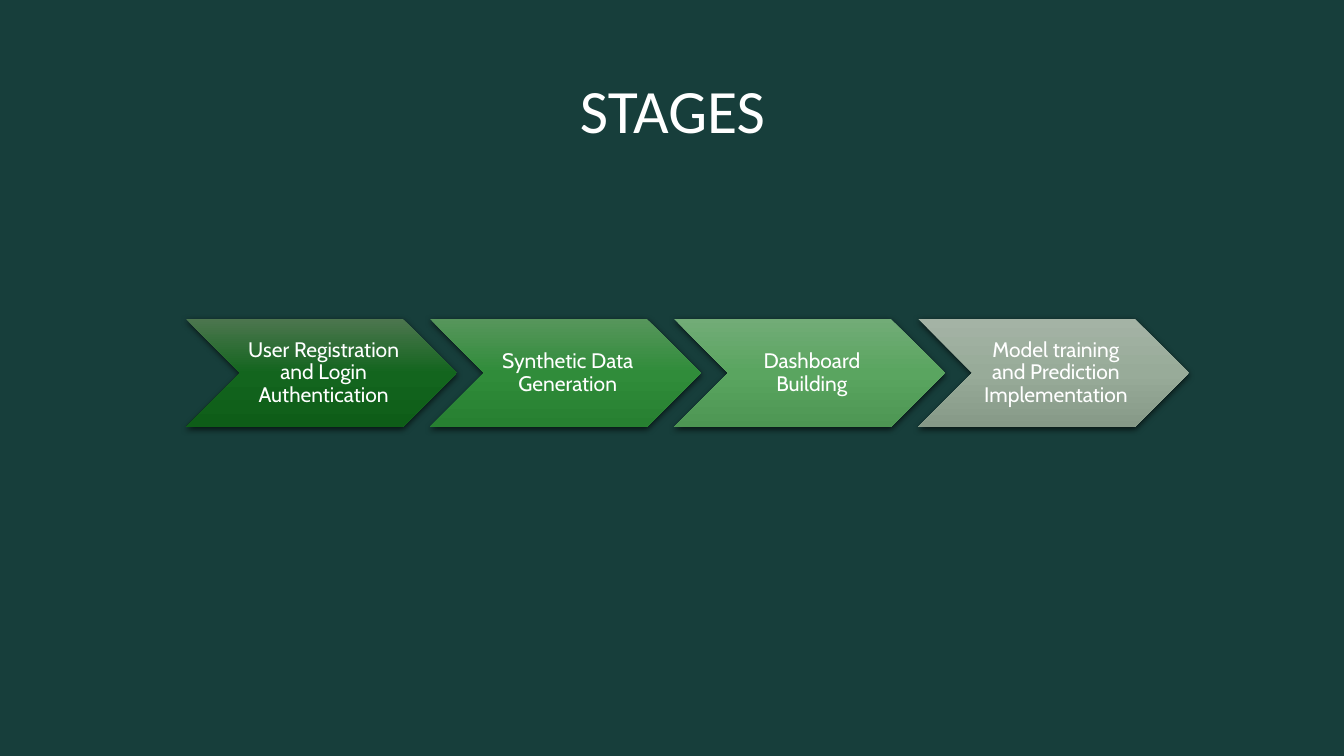
from copy import deepcopy

from pptx import Presentation
from pptx.dml.color import RGBColor
from pptx.enum.shapes import MSO_SHAPE
from pptx.enum.text import MSO_ANCHOR, PP_ALIGN
from pptx.oxml import parse_xml
from pptx.oxml.ns import nsdecls, qn
from pptx.util import Inches, Pt


def color(value):
    return RGBColor.from_string(value)


class StageSlide:
    BACKGROUND = "173E3B"
    TEXT = "FFFFFF"
    TITLE_FONT = "Calibri"
    LABEL_FONT = "Cabin"

    def __init__(self, presentation):
        self.slide = presentation.slides.add_slide(presentation.slide_layouts[6])
        fill = self.slide.background.fill
        fill.solid()
        fill.fore_color.rgb = color(self.BACKGROUND)

    def text(self, shapes, text, box, font, size, margins):
        shape = shapes.add_textbox(*[Inches(length) for length in box])
        frame = shape.text_frame
        frame.word_wrap = True
        frame.vertical_anchor = MSO_ANCHOR.MIDDLE
        (frame.margin_left, frame.margin_top,
         frame.margin_right, frame.margin_bottom) = [Inches(m) for m in margins]
        paragraph = frame.paragraphs[0]
        paragraph.text = text
        paragraph.alignment = PP_ALIGN.CENTER
        paragraph.line_spacing = 0.9
        paragraph.font.name = font
        paragraph.font.size = Pt(size)
        paragraph.font.color.rgb = color(self.TEXT)

    def title(self, text, box):
        self.text(self.slide.shapes, text, box, self.TITLE_FONT, 44,
                  (0.1, 0.05, 0.1, 0.05))

    def chevron(self, shapes, box, gradient):
        shape = shapes.add_shape(MSO_SHAPE.CHEVRON, *[Inches(length) for length in box])
        shape.line.fill.background()

        # Three-stop gradient from top to bottom
        shape.fill.gradient()
        shape.fill.gradient_angle = 270
        properties = shape.element.spPr
        stop_list = properties.find(qn("a:gradFill")).find(qn("a:gsLst"))
        stop_list.append(deepcopy(stop_list[0]))
        for index, (stop, value) in enumerate(zip(shape.fill.gradient_stops, gradient)):
            stop.position = index / 2
            stop.color.rgb = color(value)

        # Soft shadow below
        shape.shadow.inherit = False
        properties.find(qn("a:effectLst")).append(parse_xml(
            f'<a:outerShdw {nsdecls("a")} blurRad="{Pt(4.5)}" dist="{Pt(1.5)}" '
            'dir="5400000" algn="ctr" rotWithShape="0">'
            '<a:srgbClr val="000000"><a:alpha val="63000"/></a:srgbClr></a:outerShdw>'))

    def process(self, stages, left, top, width, height, step):
        shapes = self.slide.shapes.add_group_shape().shapes
        point = height / 2
        for index, (label, gradient) in enumerate(stages):
            x = left + index * step
            self.chevron(shapes, (x, top, width, height), gradient)
            self.text(shapes, label, (x + point, top, width - 2 * point, height),
                      self.LABEL_FONT, 15, (0.07, 0.02, 0.02, 0.02))


STAGES = [
    ("User Registration and Login Authentication", ("4D764F", "13651E", "0E5D18")),
    ("Synthetic Data Generation", ("57965C", "308C3A", "278031")),
    ("Dashboard Building", ("72AC77", "5AA560", "4D9653")),
    ("Model training and Prediction Implementation", ("A4B3A5", "98AB99", "869987")),
]


def main():
    presentation = Presentation()
    presentation.slide_width = Inches(13.33)
    presentation.slide_height = Inches(7.5)
    slide = StageSlide(presentation)
    slide.title("STAGES", (0.92, 0.4, 11.5, 1.45))

    # Each chevron starts nine tenths of a width after the previous one
    width = 2.69
    slide.process(STAGES, left=1.84, top=3.16, width=width, height=1.08,
                  step=0.9 * width)
    presentation.save("out.pptx")


if __name__ == "__main__":
    main()
